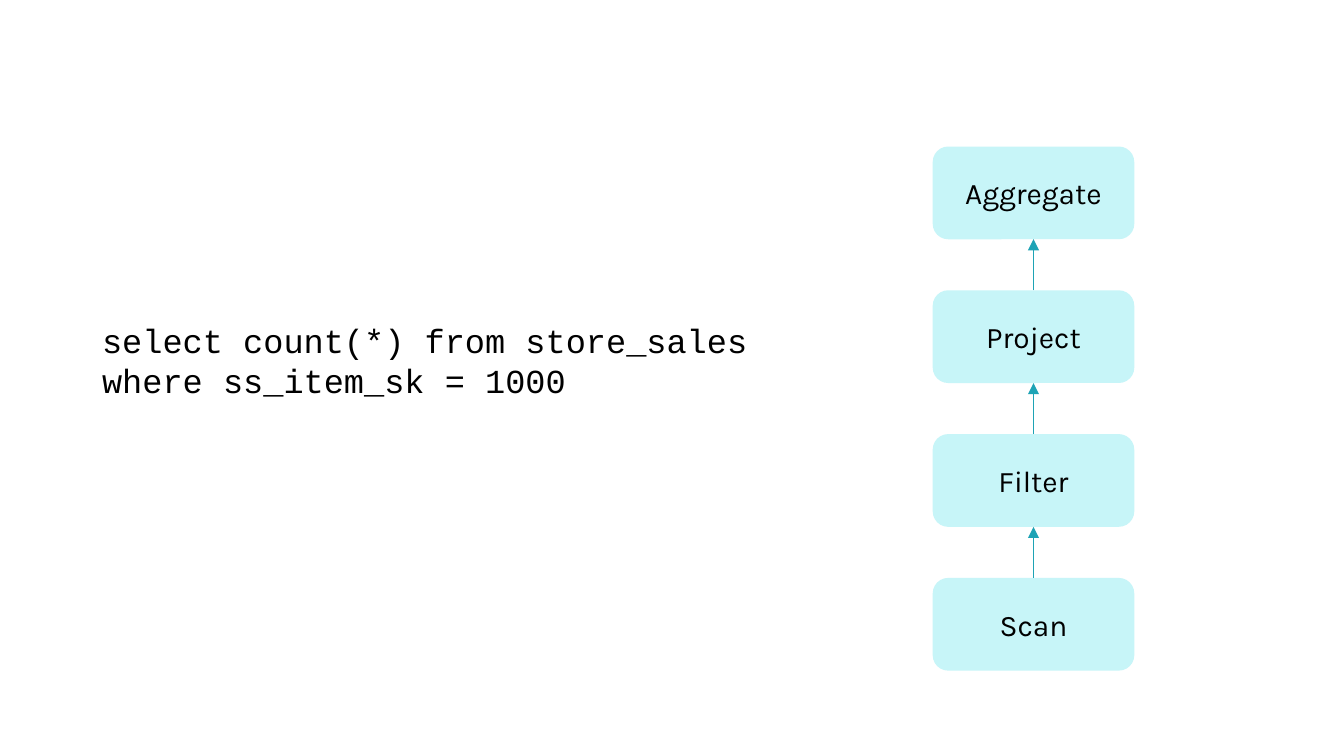
from pptx import Presentation
from pptx.dml.color import RGBColor
from pptx.enum.dml import MSO_LINE
from pptx.enum.shapes import MSO_CONNECTOR, MSO_SHAPE
from pptx.enum.text import MSO_ANCHOR, PP_ALIGN
from pptx.oxml.ns import qn
from pptx.util import Inches, Pt
from lxml import etree

ROUND = MSO_SHAPE.ROUNDED_RECTANGLE
STRAIGHT = MSO_CONNECTOR.STRAIGHT
SOLID = MSO_LINE.SOLID
MIDDLE = MSO_ANCHOR.MIDDLE
CENTER = PP_ALIGN.CENTER
TOP, BOTTOM = 0, 2  # connection sites of a box

STEPS = ["Aggregate", "Project", "Filter", "Scan"]
QUERY = "select count(*) from store_sales\nwhere ss_item_sk = 1000"
BLACK, PALE, TEAL = "000000", "C7F5F8", "1EA3B5"


def color(value):
    return RGBColor.from_string(value)


def write(shape, text, face, size):
    """Fill the shape with one paragraph and return that paragraph."""
    frame = shape.text_frame
    frame.word_wrap = True
    frame.margin_left = frame.margin_right = Inches(0.05)
    frame.margin_top = frame.margin_bottom = Inches(0.05)
    para = frame.paragraphs[0]
    para.text = text
    para.font.name = face
    para.font.size = Pt(size)
    para.font.color.rgb = color(BLACK)
    return para


def add_step(shapes, label, left, top, width, height):
    box = shapes.add_shape(
        ROUND, Inches(left), Inches(top), Inches(width), Inches(height))
    box.shadow.inherit = False
    box.fill.solid()
    box.fill.fore_color.rgb = color(PALE)
    box.line.fill.background()
    write(box, label, "Karla", 16).alignment = CENTER
    box.text_frame.vertical_anchor = MIDDLE
    return box


def add_arrow(shapes, lower, upper):
    arrow = shapes.add_connector(STRAIGHT, 0, 0, 0, 0)
    arrow.begin_connect(lower, TOP)
    arrow.end_connect(upper, BOTTOM)
    arrow.line.color.rgb = color(TEAL)
    arrow.line.width = Pt(1)
    arrow.line.dash_style = SOLID
    props = arrow._element.spPr
    line = props.find(qn("a:ln"))
    etree.SubElement(line, qn("a:round"))
    etree.SubElement(line, qn("a:tailEnd"), type="triangle")
    etree.SubElement(props, qn("a:effectLst"))


def add_plan(slide, left, top, width, height):
    """Stack the steps, each with an arrow up to the one above."""
    shapes = slide.shapes.add_group_shape().shapes
    tall = 0.69
    pitch = (height - tall) / (len(STEPS) - 1)
    boxes = [add_step(shapes, label, left, top + row * pitch, width, tall)
             for row, label in enumerate(STEPS)]
    for upper, lower in zip(boxes, boxes[1:]):
        add_arrow(shapes, lower, upper)


def add_query(slide, left, top, width, height):
    box = slide.shapes.add_textbox(
        Inches(left), Inches(top), Inches(width), Inches(height))
    write(box, QUERY, "Courier New", 18)


def main():
    deck = Presentation()
    deck.slide_width = Inches(10)
    deck.slide_height = deck.slide_width * 9 // 16
    slide = deck.slides.add_slide(deck.slide_layouts[6])
    add_plan(slide, 6.94, 1.09, 1.5, 3.9)
    add_query(slide, 0.71, 2.33, 5, 0.71)
    deck.save("out.pptx")


if __name__ == "__main__":
    main()
